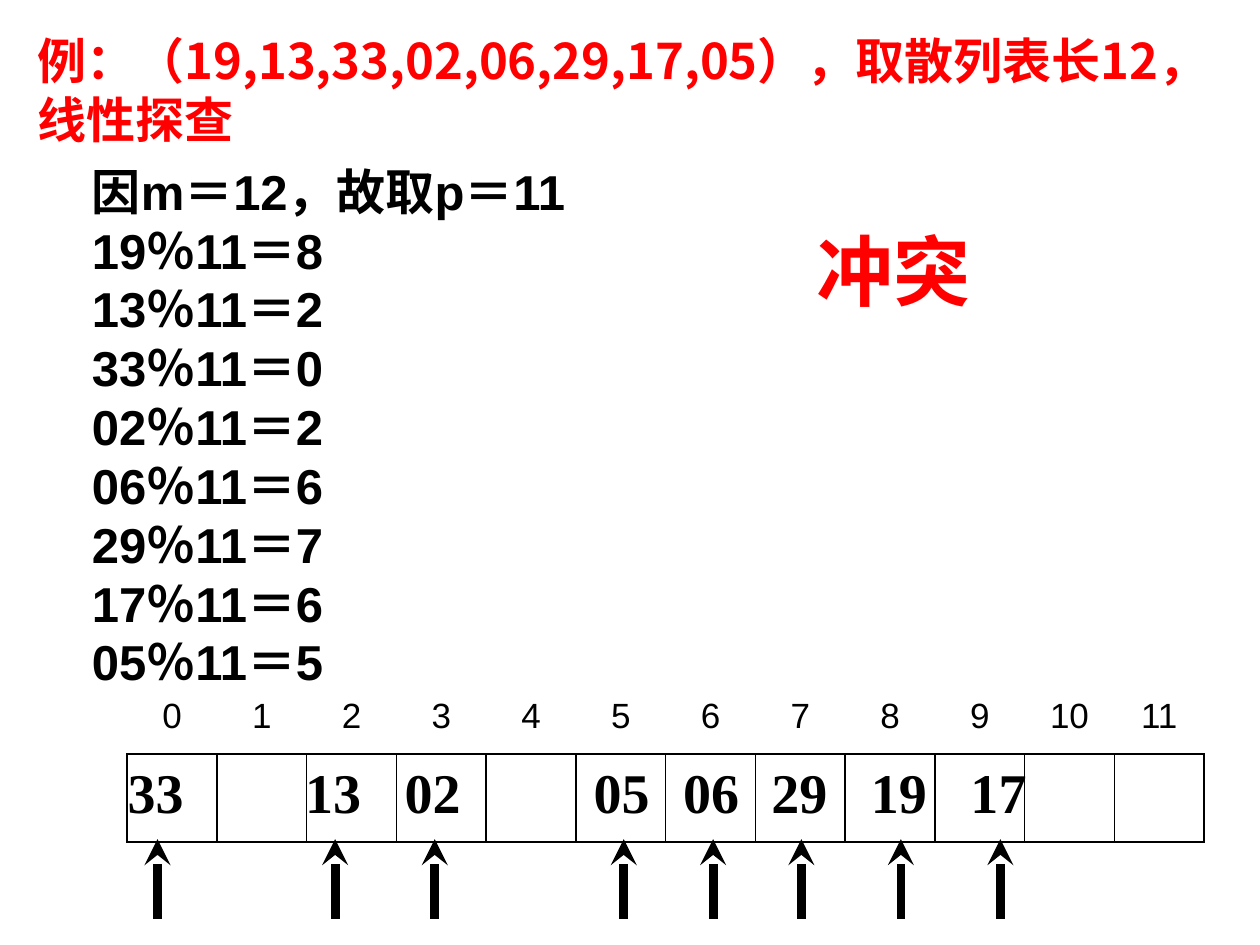
from lxml import etree
from pptx import Presentation
from pptx.dml.color import RGBColor
from pptx.enum.shapes import MSO_CONNECTOR as Connector
from pptx.enum.text import MSO_ANCHOR as Anchor, MSO_AUTO_SIZE as AutoSize, PP_ALIGN as Align
from pptx.oxml.ns import qn
from pptx.util import Inches, Pt

RED, BLACK = "FF0000", "000000"
CJK = "Noto Sans CJK SC"
TABLE_LENGTH = 12
DIVISOR = 11
KEYS = ["19", "13", "33", "02", "06", "29", "17", "05"]
# Centre of each stored key and its arrow, in inches
KEY_CENTRES = {"33": 1.25, "13": 2.66, "02": 3.45, "05": 4.95,
               "06": 5.66, "29": 6.36, "19": 7.15, "17": 7.94}


def colour(code):
    return RGBColor.from_string(code)


def place(shape, left, top, width, height):
    shape.left, shape.top = Inches(left), Inches(top)
    shape.width, shape.height = Inches(width), Inches(height)


def write(frame, text, size=28, font="Arial", color=BLACK, bold=True,
          align=Align.LEFT, inset=0.05):
    """Fill a text frame, one paragraph for each line of text."""
    frame.word_wrap = True
    frame.margin_left = frame.margin_right = Inches(0.1)
    frame.margin_top = frame.margin_bottom = Inches(inset)
    frame.vertical_anchor = Anchor.TOP
    for index, line in enumerate(text.split("\n")):
        para = frame.paragraphs[0] if index == 0 else frame.add_paragraph()
        para.alignment = align
        para.space_before = Pt(0)
        span = para.add_run()
        span.text = line
        span.font.size, span.font.bold = Pt(size), bold
        span.font.name = font
        span.font.color.rgb = colour(color)
        east_asian = etree.SubElement(span.font._element, qn("a:ea"))
        east_asian.set("typeface", CJK)


def fill_placeholder(shape, text, at, **format):
    place(shape, *at)
    shape.text_frame.auto_size = AutoSize.NONE
    write(shape.text_frame, text, **format)


def remove_bullets(frame):
    for para in frame.paragraphs:
        properties = para._p.get_or_add_pPr()
        properties.set("marL", "0")
        properties.set("indent", "0")
        etree.SubElement(properties, qn("a:buNone"))


def add_text(page, text, at, **format):
    box = page.shapes.add_textbox(*map(Inches, at))
    write(box.text_frame, text, **format)


def add_border(cell, sides):
    """Draw 1 pt black lines; they must precede the fill in the cell."""
    properties = cell._tc.get_or_add_tcPr()
    for position, side in enumerate(sides):
        line = etree.Element(qn(f"a:ln{side}"), w=str(Pt(1)))
        fill = etree.SubElement(line, qn("a:solidFill"))
        etree.SubElement(fill, qn("a:srgbClr"), val=BLACK)
        properties.insert(position, line)


def add_hash_table(page):
    frame = page.shapes.add_table(2, TABLE_LENGTH, Inches(1.01), Inches(5.41),
                                  Inches(8.55), Inches(1.27))
    table = frame.table
    table.first_row = table.horz_banding = False
    for row, height in zip(table.rows, (0.57, 0.7)):
        row.height = Inches(height)
    for column in range(TABLE_LENGTH):
        index_cell, slot = table.cell(0, column), table.cell(1, column)
        for cell, sides in ((index_cell, "B"), (slot, "LRTB")):
            cell.fill.background()
            add_border(cell, sides)
        write(index_cell.text_frame, str(column), size=20, bold=False,
              align=Align.CENTER, inset=0.12)
        index_cell.margin_top = index_cell.margin_bottom = Inches(0.12)


def add_arrow(page, centre):
    arrow = page.shapes.add_connector(Connector.STRAIGHT, Inches(centre), Inches(7.29),
                                      Inches(centre), Inches(6.66))
    arrow.line.color.rgb = colour(BLACK)
    arrow.line.width = Pt(5)
    etree.SubElement(arrow.line._get_or_add_ln(), qn("a:tailEnd"), type="stealth")
    etree.SubElement(arrow._element.spPr, qn("a:effectLst"))


def main():
    deck = Presentation()
    deck.slide_width, deck.slide_height = Inches(10), Inches(7.5)
    page = deck.slides.add_slide(deck.slide_layouts[1])

    # Problem statement
    fill_placeholder(page.shapes.title,
                     f"例：（{','.join(KEYS)}），取散列表长{TABLE_LENGTH}，线性探查",
                     (0.2, 0.19, 9.61, 1.05), font=CJK, color=RED)

    # Hash values
    body = page.placeholders[1]
    steps = [f"{key}％{DIVISOR}＝{int(key) % DIVISOR}" for key in KEYS]
    heading = f"因m＝{TABLE_LENGTH}，故取p＝{DIVISOR}"
    fill_placeholder(body, "\n".join([heading, *steps]),
                     (0.63, 1.16, 4.84, 4.48), inset=0.12)
    remove_bullets(body.text_frame)
    add_text(page, "冲突", (6.38, 1.65, 1.57, 0.98), size=44, color=RED, inset=0.12)

    # Hash table with stored keys and probe arrows
    add_hash_table(page)
    for key, centre in KEY_CENTRES.items():
        add_text(page, key, (centre - 0.4, 5.96, 0.77, 0.64), size=32,
                 font="Times New Roman", align=Align.CENTER)
        add_arrow(page, centre)

    deck.save("out.pptx")


if __name__ == "__main__":
    main()
